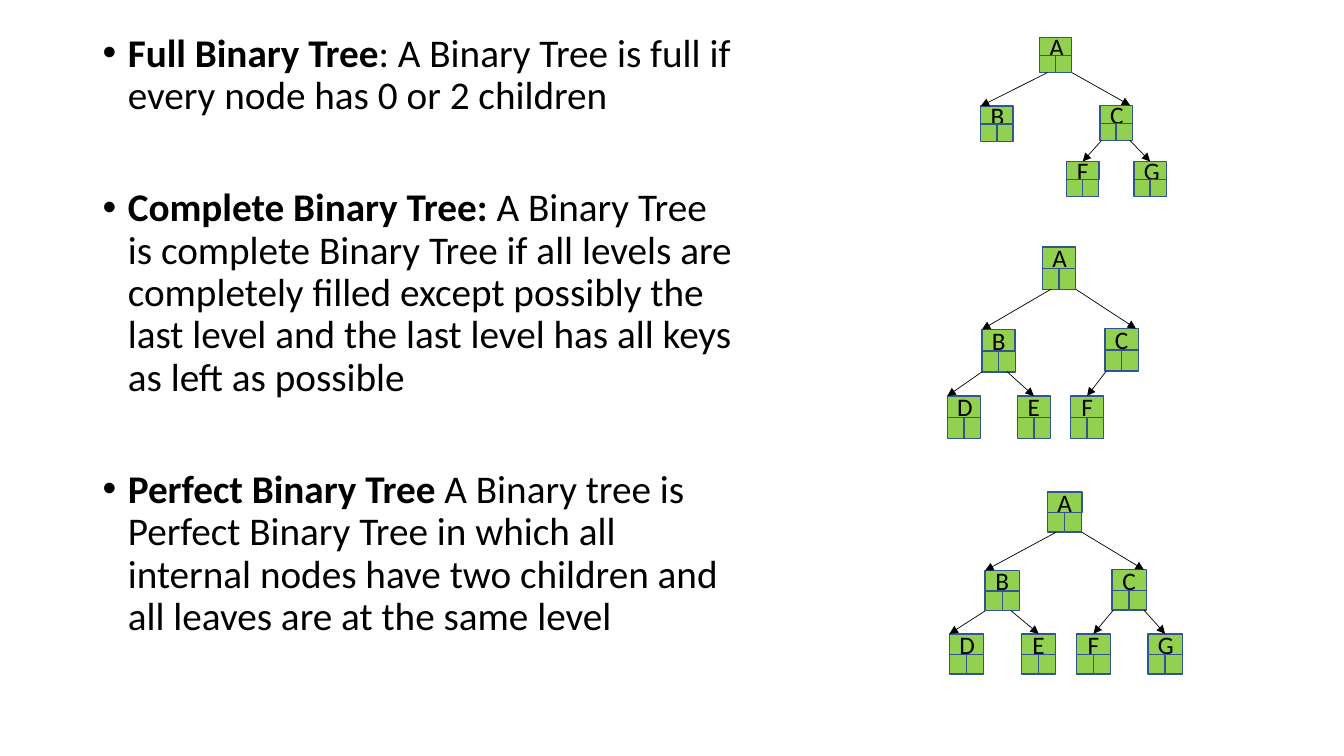
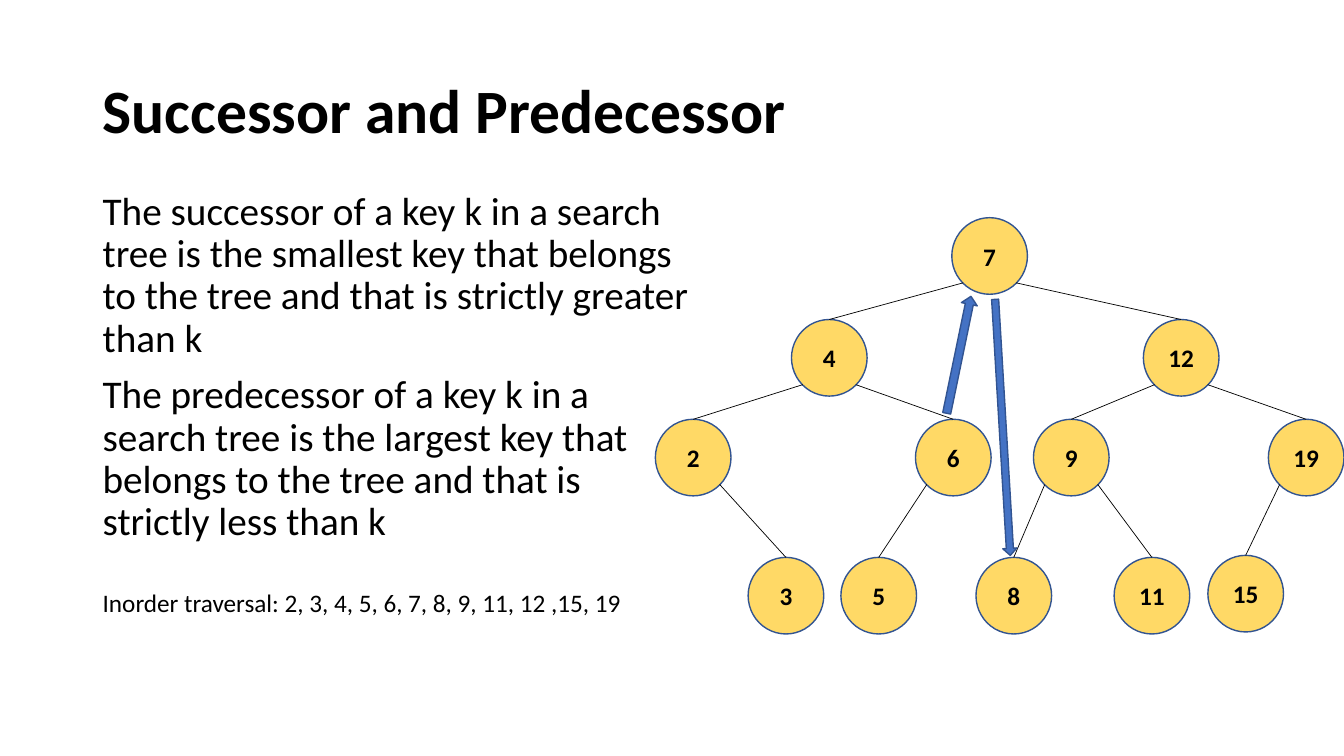
from dataclasses import dataclass
from math import atan2, degrees, hypot
from typing import NamedTuple

from lxml.etree import SubElement
from pptx import Presentation
from pptx.dml.color import RGBColor
from pptx.enum.shapes import MSO_CONNECTOR, MSO_SHAPE
from pptx.enum.text import MSO_ANCHOR, MSO_AUTO_SIZE, PP_ALIGN
from pptx.oxml.ns import qn
from pptx.shapes.autoshape import Shape
from pptx.shapes.shapetree import GroupShapes, SlideShapes
from pptx.slide import Slide
from pptx.text.text import TextFrame, _Paragraph as Paragraph
from pptx.util import Inches, Pt


# Shared look
@dataclass(frozen=True)
class Theme:
    font: str = "Calibri"
    ink: RGBColor = RGBColor(0x00, 0x00, 0x00)
    outline: RGBColor = RGBColor(0x32, 0x54, 0x91)
    green: RGBColor = RGBColor(0x92, 0xD0, 0x50)
    yellow: RGBColor = RGBColor(0xFF, 0xD9, 0x66)
    blue: RGBColor = RGBColor(0x44, 0x72, 0xC4)
    title_size: int = 44
    body_size: int = 28
    label_size: int = 18
    line_spacing: float = 0.9
    paragraph_gap: int = 10
    section_gap: int = 50
    outline_width: float = 1
    edge_width: float = 0.5
    margin: float = 0.92


THEME = Theme()


class Point(NamedTuple):
    x: float
    y: float


class Box(NamedTuple):
    left: float
    top: float
    width: float
    height: float

    def at(self, across: float, down: float) -> Point:
        return Point(self.left + across * self.width, self.top + down * self.height)

    def lengths(self) -> list[int]:
        return [Inches(value) for value in self]


class Definition(NamedTuple):
    term: str
    meaning: str


class Link(NamedTuple):
    parent: str
    child: str
    start: float  # fraction of the parent's width
    end: float  # fraction of the child's width


@dataclass(frozen=True)
class LetterTree:
    letters: str
    root: Box


class KeyNode(NamedTuple):
    key: int
    parent: int | None
    left: float
    top: float


class Step(NamedTuple):
    start: Point
    end: Point
    thickness: float


# Text helpers
def style_run_text(paragraph: Paragraph, size: int, bold: bool = False) -> None:
    for run in paragraph.runs:
        run.font.name = THEME.font
        run.font.size = Pt(size)
        run.font.bold = bold
        run.font.color.rgb = THEME.ink


def space_paragraph(paragraph: Paragraph, before: float) -> None:
    paragraph.line_spacing = THEME.line_spacing
    paragraph.space_before = Pt(before)


def add_bullet(paragraph: Paragraph) -> None:
    properties = paragraph._p.get_or_add_pPr()
    properties.set("marL", str(Inches(0.25)))
    properties.set("indent", str(-Inches(0.25)))
    SubElement(properties, qn("a:buFont")).set("typeface", "Arial")
    SubElement(properties, qn("a:buChar")).set("char", "\u2022")


def add_text_area(slide: Slide, box: Box) -> TextFrame:
    frame = slide.shapes.add_textbox(*box.lengths()).text_frame
    frame.word_wrap = True
    return frame


def set_title(slide: Slide, text: str) -> None:
    title = slide.shapes.title
    title.left, title.top, title.width, title.height = Box(
        THEME.margin, 0.4, 11.5, 1.45).lengths()
    frame = title.text_frame
    frame.text = text
    frame.auto_size = MSO_AUTO_SIZE.NONE
    frame.vertical_anchor = MSO_ANCHOR.MIDDLE
    heading = frame.paragraphs[0]
    heading.alignment = PP_ALIGN.LEFT
    space_paragraph(heading, 0)
    style_run_text(heading, THEME.title_size, bold=True)


# Drawing helpers
def add_filled(shapes: SlideShapes | GroupShapes, kind: MSO_SHAPE, box: Box,
               fill: RGBColor, label: str = "", bold: bool = False) -> Shape:
    shape = shapes.add_shape(kind, *box.lengths())
    shape.shadow.inherit = False
    shape.fill.solid()
    shape.fill.fore_color.rgb = fill
    shape.line.color.rgb = THEME.outline
    shape.line.width = Pt(THEME.outline_width)
    if label:
        frame = shape.text_frame
        frame.text = label
        frame.vertical_anchor = MSO_ANCHOR.MIDDLE
        frame.paragraphs[0].alignment = PP_ALIGN.CENTER
        style_run_text(frame.paragraphs[0], THEME.label_size, bold)
    return shape


def add_edge(shapes: GroupShapes, start: Point, end: Point, arrow: bool = False) -> None:
    edge = shapes.add_connector(
        MSO_CONNECTOR.STRAIGHT, *[Inches(value) for value in (*start, *end)])
    edge.line.color.rgb = THEME.ink
    edge.line.width = Pt(THEME.edge_width)
    if arrow:
        SubElement(edge.line._get_or_add_ln(), qn("a:tailEnd")).set("type", "triangle")
    SubElement(edge._element.spPr, qn("a:effectLst"))


def add_step(shapes: SlideShapes, step: Step) -> None:
    run, rise = step.end.x - step.start.x, step.end.y - step.start.y
    length = hypot(run, rise)
    box = Box((step.start.x + step.end.x - length) / 2,
              (step.start.y + step.end.y - step.thickness) / 2, length, step.thickness)
    arrow = add_filled(shapes, MSO_SHAPE.RIGHT_ARROW, box, THEME.blue)
    arrow.rotation = degrees(atan2(rise, run)) % 360


# Slide 1: kinds of binary tree
DEFINITIONS = [
    Definition("Full Binary Tree",
               ": A Binary Tree is full if every node has 0 or 2 children"),
    Definition("Complete Binary Tree: ",
               "A Binary Tree is complete Binary Tree if all levels are completely filled "
               "except possibly the last level and the last level has all keys as left "
               "as possible"),
    Definition("Perfect Binary Tree",
               "\u00a0A Binary tree is Perfect Binary Tree in which all internal nodes "
               "have two children and all leaves are at the same level"),
]

# Offsets from the root, counted in node widths and node heights
NODE_OFFSETS = {
    "A": Point(0, 0), "B": Point(-1.82, 1.95), "C": Point(1.88, 1.93),
    "D": Point(-2.86, 3.52), "E": Point(-0.76, 3.52),
    "F": Point(0.84, 3.52), "G": Point(2.93, 3.52),
}
LINKS = [
    Link("A", "B", 0.25, 0), Link("A", "C", 1, 0.93),
    Link("B", "D", 0, 0), Link("B", "E", 0.76, 0.5),
    Link("C", "F", 0.04, 0.5), Link("C", "G", 0.93, 0.5),
]
LETTER_TREES = [
    LetterTree("ABCFG", Box(10.31, 0.37, 0.32, 0.35)),
    LetterTree("ABCDEF", Box(10.34, 2.45, 0.33, 0.42)),
    LetterTree("ABCDEFG", Box(10.39, 4.88, 0.34, 0.4)),
]
LABEL_SHARE = 0.51


def add_letter_node(shapes: GroupShapes, letter: str, box: Box) -> None:
    label_height = LABEL_SHARE * box.height
    add_filled(shapes, MSO_SHAPE.RECTANGLE,
               box._replace(height=label_height), THEME.green, letter)
    for across in (0, 0.5):
        corner = box.at(across, LABEL_SHARE)
        pointer = Box(*corner, box.width / 2, box.height - label_height)
        add_filled(shapes, MSO_SHAPE.RECTANGLE, pointer, THEME.green)


def add_letter_tree(slide: Slide, tree: LetterTree) -> None:
    shapes = slide.shapes.add_group_shape().shapes
    boxes = {letter: Box(*tree.root.at(*NODE_OFFSETS[letter]),
                         tree.root.width, tree.root.height)
             for letter in tree.letters}
    for letter, box in boxes.items():
        add_letter_node(shapes, letter, box)
    for link in LINKS:
        if link.child in boxes:
            add_edge(shapes, boxes[link.parent].at(link.start, 1),
                     boxes[link.child].at(link.end, 0), arrow=True)


def build_tree_kinds(slide: Slide) -> None:
    frame = add_text_area(slide, Box(THEME.margin, 0.28, 6.5, 6.48))
    for index, definition in enumerate(DEFINITIONS):
        paragraph = frame.add_paragraph() if index else frame.paragraphs[0]
        for text in definition:
            paragraph.add_run().text = text
        style_run_text(paragraph, THEME.body_size)
        paragraph.runs[0].font.bold = True
        space_paragraph(paragraph, THEME.section_gap if index else THEME.paragraph_gap)
        add_bullet(paragraph)
    for tree in LETTER_TREES:
        add_letter_tree(slide, tree)


# Slide 2: successor and predecessor
STATEMENTS = [
    "The successor of a key k in a search tree is the smallest key that belongs "
    "to the tree and that is strictly greater than k",
    "The predecessor of a key k in a search tree is the largest key that belongs "
    "to the tree and that is strictly less than k",
]
KEY_NODES = [
    KeyNode(7, None, 9.44, 2.16),
    KeyNode(4, 7, 7.85, 3.17), KeyNode(12, 7, 11.34, 3.17),
    KeyNode(2, 4, 6.5, 4.16), KeyNode(6, 4, 9.08, 4.16),
    KeyNode(9, 12, 10.25, 4.16), KeyNode(19, 12, 12.58, 4.16),
    KeyNode(3, 2, 7.42, 5.53), KeyNode(5, 6, 8.34, 5.53), KeyNode(8, 9, 9.68, 5.53),
    KeyNode(11, 9, 11.05, 5.53), KeyNode(15, 19, 11.98, 5.51),
]
STEPS = [
    Step(Point(9.39, 4.1), Point(9.63, 2.94), 0.16),
    Step(Point(9.87, 2.97), Point(10.02, 5.51), 0.14),
]
DIAGONAL = 0.85  # where a 45-degree radius meets the circle


def add_key_tree(slide: Slide) -> None:
    shapes = slide.shapes.add_group_shape().shapes
    circles = {node.key: Box(node.left, node.top, 0.75, 0.76) for node in KEY_NODES}
    for key, circle in circles.items():
        add_filled(shapes, MSO_SHAPE.OVAL, circle, THEME.yellow, str(key), bold=True)
    for node in KEY_NODES:
        if node.parent is not None:
            side = 1 - DIAGONAL if node.key < node.parent else DIAGONAL
            add_edge(shapes, circles[node.parent].at(side, DIAGONAL),
                     circles[node.key].at(0.5, 0))


def build_successor(slide: Slide) -> None:
    set_title(slide, "Successor and Predecessor")
    frame = add_text_area(slide, Box(THEME.margin, 1.85, 6.06, 4.76))
    frame.text = "\n".join(STATEMENTS)
    for paragraph in frame.paragraphs:
        space_paragraph(paragraph, THEME.paragraph_gap)
        style_run_text(paragraph, THEME.body_size)
    add_key_tree(slide)
    for step in STEPS:
        add_step(slide.shapes, step)
    traversal = add_text_area(slide, Box(THEME.margin, 5.78, 8.52, 0.4))
    traversal.text = "Inorder traversal: 2, 3, 4, 5, 6, 7, 8, 9, 11, 12 ,15, 19"
    traversal.auto_size = MSO_AUTO_SIZE.SHAPE_TO_FIT_TEXT
    style_run_text(traversal.paragraphs[0], THEME.label_size)


# Presentation
deck = Presentation()
deck.slide_width, deck.slide_height = Inches(13.33), Inches(7.5)
title_only, blank = deck.slide_layouts[5], deck.slide_layouts[6]
build_tree_kinds(deck.slides.add_slide(blank))
build_successor(deck.slides.add_slide(title_only))
deck.save("out.pptx")
